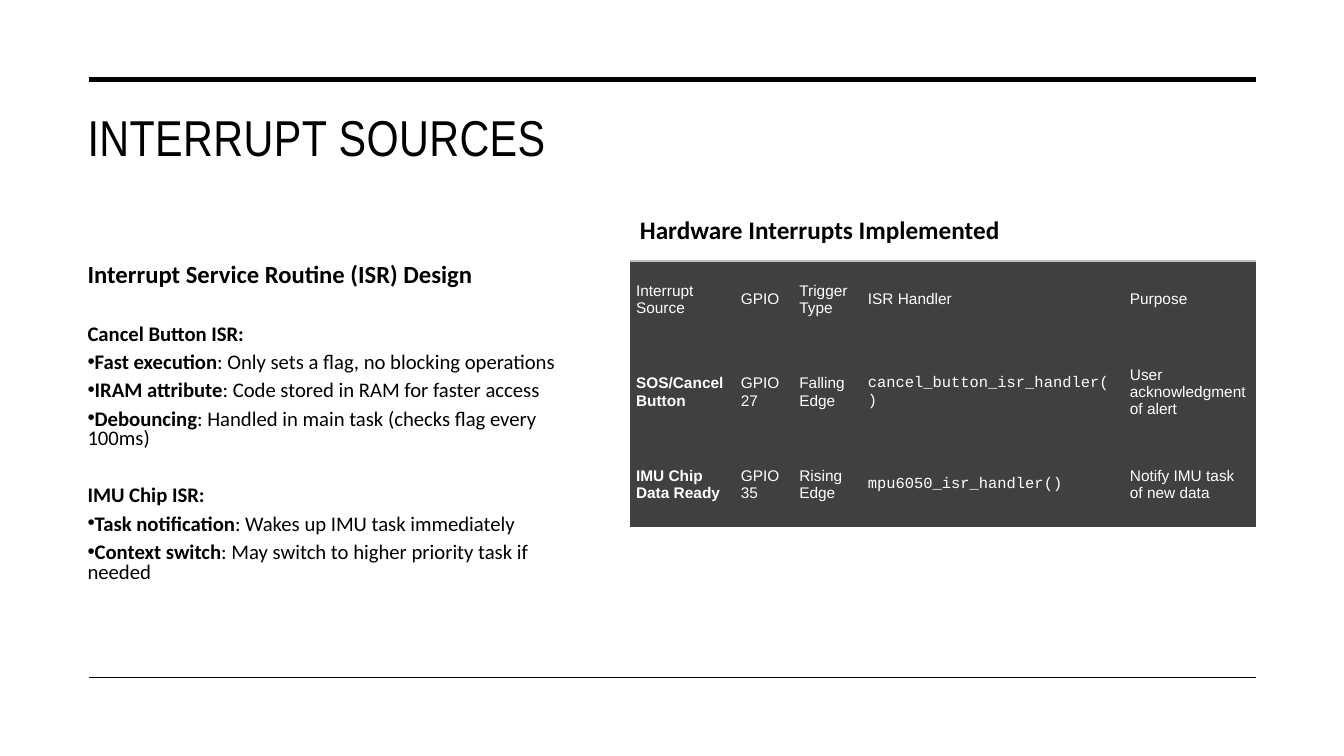
from dataclasses import dataclass
from typing import Any

from lxml import etree
from pptx import Presentation
from pptx.dml.color import RGBColor
from pptx.enum.shapes import MSO_CONNECTOR
from pptx.enum.text import MSO_ANCHOR
from pptx.oxml.ns import qn
from pptx.util import Pt

STRAIGHT = MSO_CONNECTOR.STRAIGHT
TOP, MIDDLE, BOTTOM = MSO_ANCHOR.TOP, MSO_ANCHOR.MIDDLE, MSO_ANCHOR.BOTTOM
PLAIN_TABLE_STYLE = "{2D5ABB26-0587-4C30-8999-92F81FD0307C}"


@dataclass(frozen=True)
class Theme:
    ink: str = "000000"
    cell_text: str = "FFFFFF"
    cell_fill: str = "404040"
    table_edge: str = "BFBFBF"
    title_font: str = "Arial Narrow"
    body_font: str = "Calibri"
    table_font: str = "Arial"
    bullet_font: str = "Arial"
    code_font: str = "Courier New"
    title_size: float = 36
    table_title_size: float = 18
    heading_size: float = 17.6
    body_size: float = 14.8
    table_size: float = 11


THEME = Theme()


@dataclass(frozen=True)
class Box:
    left: float
    top: float
    width: float
    height: float


@dataclass(frozen=True)
class Line:
    bold: str
    plain: str = ""
    size: float = THEME.body_size
    space_before: float = 0


@dataclass(frozen=True)
class Rule:
    top: float
    weight: float


SLIDE_WIDTH, SLIDE_HEIGHT = 960, 540
RULE_LEFT, RULE_RIGHT = 63.36, 897.12
RULES = [Rule(56.88, 3.5), Rule(483.84, 1)]

TITLE_BOX = Box(55.44, 72, 841.68, 62.64)
DESIGN_BOX = Box(55.44, 200.16, 363.6, 275.04)
TABLE_TITLE_BOX = Box(450, 149.76, 397.44, 28.8)
TABLE_BOX = Box(450, 186.48, 447.12, 190.08)

SECTION_GAP = 20.46
DESIGN_LINES = [
    Line("Interrupt Service Routine (ISR) Design", size=THEME.heading_size),
    Line("Cancel Button ISR:", space_before=SECTION_GAP),
    Line("Fast execution", ": Only sets a flag, no blocking operations"),
    Line("IRAM attribute", ": Code stored in RAM for faster access"),
    Line("Debouncing", ": Handled in main task (checks flag every 100ms)"),
    Line("IMU Chip ISR:", space_before=SECTION_GAP),
    Line("Task notification", ": Wakes up IMU task immediately"),
    Line("Context switch", ": May switch to higher priority task if needed"),
]

COLUMN_WIDTHS = [74.88, 41.76, 48.96, 187.2, 94.32]
ROW_HEIGHTS = [57.6, 74.88, 57.6]
HANDLER_COLUMN = 3
INTERRUPTS = [
    ["Interrupt Source", "GPIO", "Trigger Type", "ISR Handler", "Purpose"],
    ["SOS/Cancel Button", "GPIO 27", "Falling Edge",
     "cancel_button_isr_handler()", "User acknowledgment of alert"],
    ["IMU Chip Data Ready", "GPIO 35", "Rising Edge",
     "mpu6050_isr_handler()", "Notify IMU task of new data"],
]


def apply_format(target: Any, values: dict[str, Any]) -> None:
    for name, value in values.items():
        setattr(target, name, value)


def add_run(paragraph: Any, text: str, font: str, size: float,
            color: str = THEME.ink, bold: bool = False) -> Any:
    run = paragraph.add_run()
    run.text = text
    apply_format(run.font, {"name": font, "size": Pt(size), "bold": bold})
    run.font.color.rgb = RGBColor.from_string(color)
    return run


def add_text_frame(slide: Any, box: Box, anchor: Any, bottom_inset: float = 3.6) -> Any:
    shape = slide.shapes.add_textbox(Pt(box.left), Pt(box.top), Pt(box.width), Pt(box.height))
    apply_format(shape.text_frame, {
        "word_wrap": True, "vertical_anchor": anchor, "margin_bottom": Pt(bottom_inset),
    })
    return shape.text_frame


def add_rule(slide: Any, rule: Rule) -> None:
    connector = slide.shapes.add_connector(
        STRAIGHT, Pt(RULE_LEFT), Pt(rule.top), Pt(RULE_RIGHT), Pt(rule.top))
    connector.line.width = Pt(rule.weight)
    connector.line.color.rgb = RGBColor.from_string(THEME.ink)
    etree.SubElement(connector._element.spPr, qn("a:effectLst"))


def add_bullet(paragraph: Any) -> None:
    properties = paragraph._p.get_or_add_pPr()
    properties.set("marL", "0")
    properties.set("indent", str(Pt(-18)))
    etree.SubElement(properties, qn("a:buFont")).set("typeface", THEME.bullet_font)
    etree.SubElement(properties, qn("a:buChar")).set("char", "•")


def add_design_notes(slide: Any) -> None:
    frame = add_text_frame(slide, DESIGN_BOX, BOTTOM, bottom_inset=58.5)
    for index, line in enumerate(DESIGN_LINES):
        paragraph = frame.add_paragraph() if index else frame.paragraphs[0]
        if line.plain:
            add_bullet(paragraph)
        apply_format(paragraph, {
            "line_spacing": 0.8, "space_before": Pt(line.space_before), "space_after": Pt(6),
        })
        add_run(paragraph, line.bold, THEME.body_font, line.size, bold=True)
        if line.plain:
            add_run(paragraph, line.plain, THEME.body_font, line.size)


def add_top_border(cell: Any) -> None:
    border = etree.Element(qn("a:lnT"), w=str(Pt(1)))
    fill = etree.SubElement(border, qn("a:solidFill"))
    etree.SubElement(fill, qn("a:srgbClr")).set("val", THEME.table_edge)
    cell._tc.get_or_add_tcPr().insert(0, border)


def add_interrupt_table(slide: Any) -> None:
    table = slide.shapes.add_table(
        len(ROW_HEIGHTS), len(COLUMN_WIDTHS), Pt(TABLE_BOX.left), Pt(TABLE_BOX.top),
        Pt(TABLE_BOX.width), Pt(TABLE_BOX.height)).table
    apply_format(table, {"first_row": False, "horz_banding": False})
    table._tbl.tblPr.find(qn("a:tableStyleId")).text = PLAIN_TABLE_STYLE
    for column, width in zip(table.columns, COLUMN_WIDTHS):
        column.width = Pt(width)
    for row, height in zip(table.rows, ROW_HEIGHTS):
        row.height = Pt(height)
    for row_index, texts in enumerate(INTERRUPTS):
        for column_index, text in enumerate(texts):
            cell = table.cell(row_index, column_index)
            apply_format(cell, {
                "vertical_anchor": MIDDLE, "margin_left": Pt(4.32), "margin_right": Pt(4.32),
                "margin_top": Pt(6.48), "margin_bottom": Pt(9.36),
            })
            cell.fill.solid()
            cell.fill.fore_color.rgb = RGBColor.from_string(THEME.cell_fill)
            is_data = row_index > 0
            is_code = is_data and column_index == HANDLER_COLUMN
            add_run(cell.text_frame.paragraphs[0], text,
                    THEME.code_font if is_code else THEME.table_font,
                    THEME.table_size, THEME.cell_text, bold=is_data and column_index == 0)
            if not is_data:
                add_top_border(cell)


def main() -> None:
    presentation = Presentation()
    apply_format(presentation, {
        "slide_width": Pt(SLIDE_WIDTH), "slide_height": Pt(SLIDE_HEIGHT),
    })
    slide = presentation.slides.add_slide(presentation.slide_layouts[6])
    title = add_text_frame(slide, TITLE_BOX, TOP).paragraphs[0]
    title_run = add_run(title, "INTERRUPT SOURCES", THEME.title_font, THEME.title_size)
    title_run.font._element.set("spc", "30")
    for rule in RULES:
        add_rule(slide, rule)
    add_design_notes(slide)
    add_interrupt_table(slide)
    table_title = add_text_frame(slide, TABLE_TITLE_BOX, TOP).paragraphs[0]
    add_run(table_title, "Hardware Interrupts Implemented", THEME.body_font,
            THEME.table_title_size, bold=True)
    presentation.save("out.pptx")


if __name__ == "__main__":
    main()
